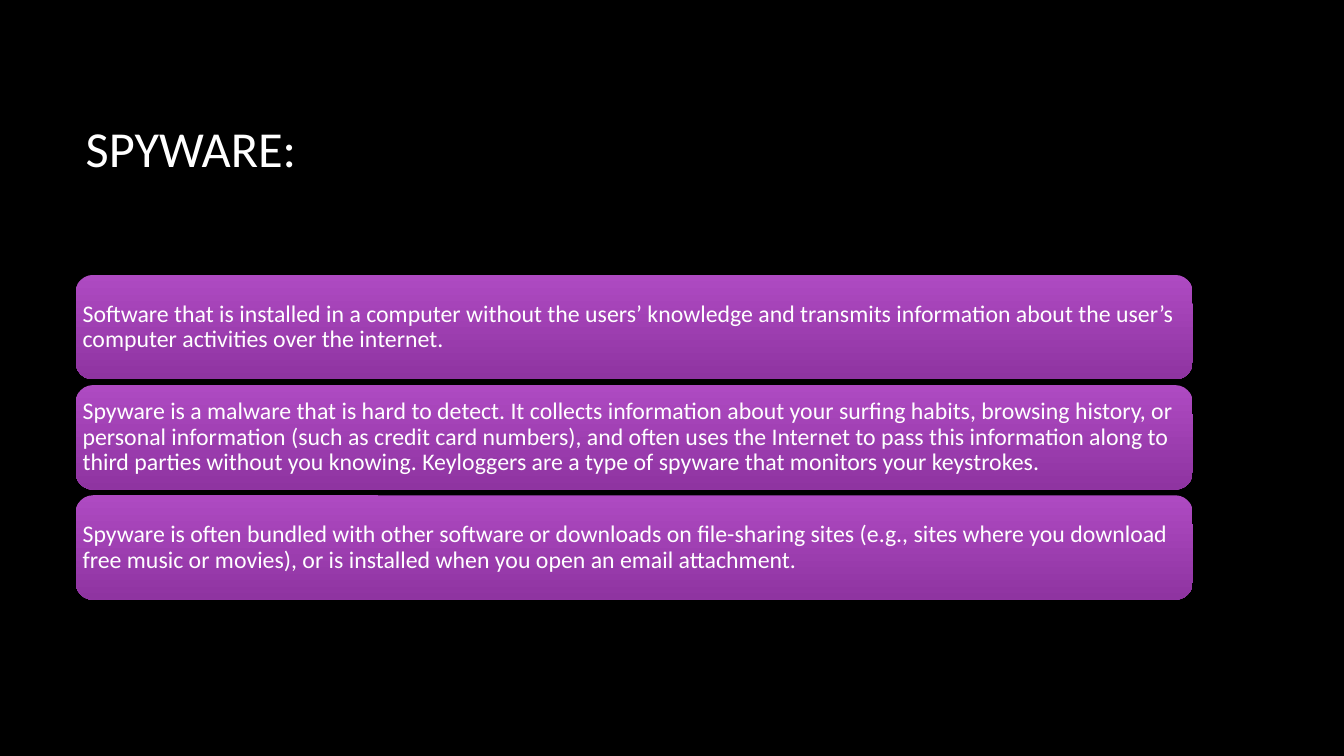
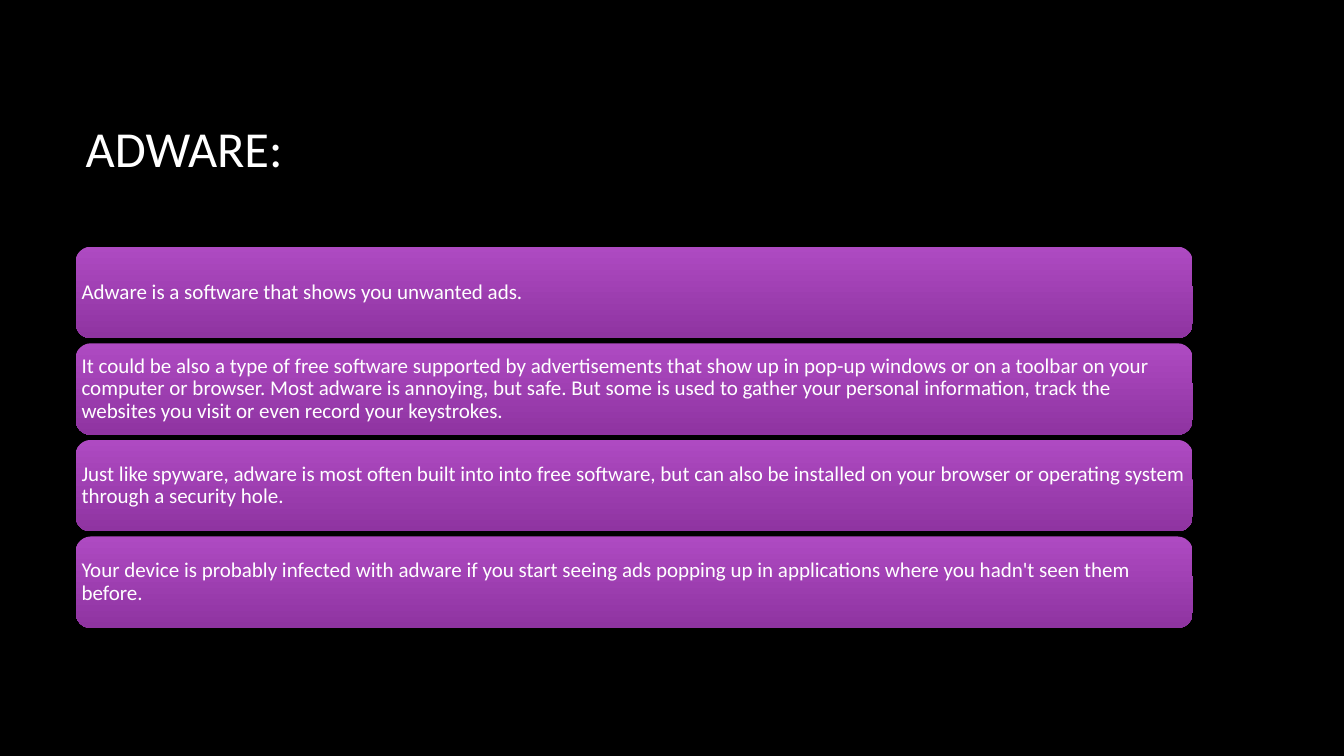
from pptx import Presentation
from pptx.dml.color import RGBColor
from pptx.enum.shapes import MSO_SHAPE
from pptx.enum.text import MSO_ANCHOR, PP_ALIGN
from pptx.util import Pt

BLACK = RGBColor(0x00, 0x00, 0x00)
WHITE = RGBColor(0xFF, 0xFF, 0xFF)
LIGHT_PURPLE = RGBColor(0xAE, 0x4A, 0xC2)
DARK_PURPLE = RGBColor(0x8F, 0x34, 0xA1)
LEFT, WIDTH = 54, 798
BARS_MIDDLE = 312.4

TOPICS = [
    {
        "title": "SPYWARE:",
        "size": 17,
        "height": 74.6,
        "inset": 1.4,
        "points": [
            "Software that is installed in a computer without the users’ knowledge and transmits "
            "information about the user’s computer activities over the internet.",
            "Spyware is a malware that is hard to detect. It collects information about your surfing "
            "habits, browsing history, or personal information (such as credit card numbers), and often "
            "uses the Internet to pass this information along to third parties without you knowing. "
            "Keyloggers are a type of spyware that monitors your keystrokes.",
            "Spyware is often bundled with other software or downloads on file-sharing sites (e.g., "
            "sites where you download free music or movies), or is installed when you open an email "
            "attachment.",
        ],
    },
    {
        "title": "ADWARE:",
        "size": 15,
        "height": 65.4,
        "inset": 1.1,
        "points": [
            "Adware is a software that shows you unwanted ads.",
            "It could be also a type of free software supported by advertisements that show up in "
            "pop-up windows or on a toolbar on your computer or browser. Most adware is annoying, but "
            "safe. But some is used to gather your personal information, track the websites you visit "
            "or even record your keystrokes.",
            "Just like spyware, adware is most often built into into free software, but can also be "
            "installed on your browser or operating system through a security hole.",
            "Your device is probably infected with adware if you start seeing ads popping up in "
            "applications where you hadn't seen them before.",
        ],
    },
]


def set_attributes(target, values):
    for name, value in values.items():
        setattr(target, name, value)


def write_text(shape, text, size):
    frame = shape.text_frame
    frame.text = text
    set_attributes(frame, {"word_wrap": True, "vertical_anchor": MSO_ANCHOR.MIDDLE})
    paragraph = frame.paragraphs[0]
    paragraph.alignment = PP_ALIGN.LEFT
    font = paragraph.runs[0].font
    set_attributes(font, {"name": "Calibri", "size": Pt(size)})
    font.color.rgb = WHITE
    return paragraph


presentation = Presentation()
set_attributes(presentation, {"slide_width": Pt(960), "slide_height": Pt(540)})
background = presentation.slide_master.background.fill
background.solid()
background.fore_color.rgb = BLACK

title_layout = presentation.slide_layouts[5]
set_attributes(
    title_layout.placeholders[0],
    {"left": Pt(LEFT), "top": Pt(48), "width": Pt(WIDTH), "height": Pt(114.5)},
)

for topic in TOPICS:
    slide = presentation.slides.add_slide(title_layout)
    write_text(slide.shapes.title, topic["title"], 36)

    points, size, height = topic["points"], topic["size"], topic["height"]
    gap = size * 0.24
    pitch = height + gap
    top = BARS_MIDDLE - (len(points) * pitch - gap) / 2

    for index, point in enumerate(points):
        bar = slide.shapes.add_shape(
            MSO_SHAPE.ROUNDED_RECTANGLE,
            Pt(LEFT), Pt(top + index * pitch), Pt(WIDTH), Pt(height),
        )
        bar.shadow.inherit = False
        bar.line.fill.background()
        bar.fill.gradient()
        bar.fill.gradient_angle = 270
        for stop, color in zip(bar.fill.gradient_stops, (LIGHT_PURPLE, DARK_PURPLE)):
            stop.color.rgb = color
        paragraph = write_text(bar, point, size)
        paragraph.line_spacing = 0.9
        for side in ("left", "top", "right", "bottom"):
            setattr(bar.text_frame, f"margin_{side}", Pt(topic["inset"]))

presentation.save("out.pptx")
